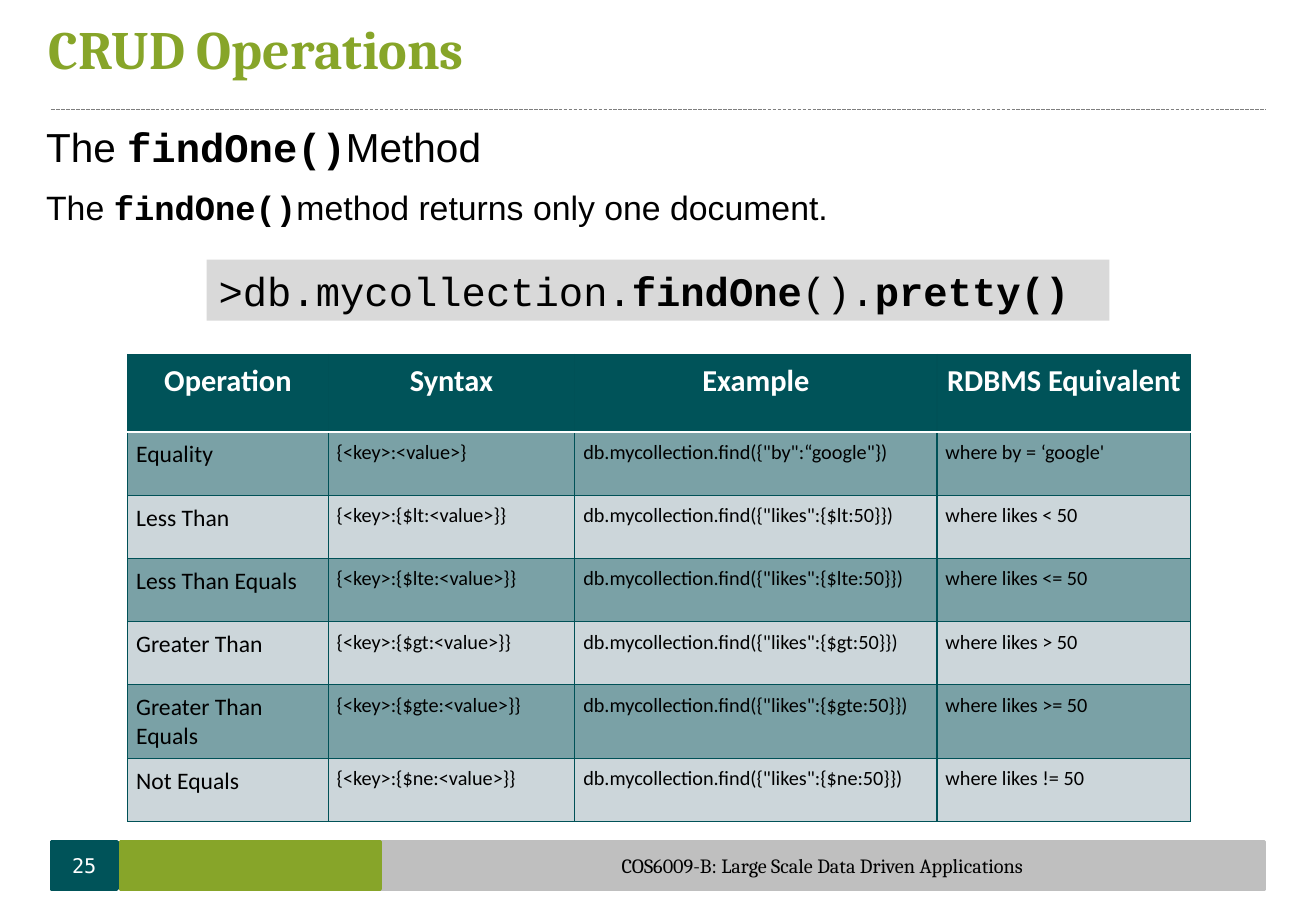
from lxml import etree
from pptx import Presentation
from pptx.dml.color import RGBColor
from pptx.enum.dml import MSO_LINE
from pptx.enum.shapes import MSO_CONNECTOR, MSO_SHAPE
from pptx.enum.text import MSO_ANCHOR, PP_ALIGN
from pptx.oxml.ns import qn
from pptx.util import Inches, Pt

RECT, LINE = MSO_SHAPE.RECTANGLE, MSO_CONNECTOR.STRAIGHT
DASH, MID, TOP = MSO_LINE.SQUARE_DOT, MSO_ANCHOR.MIDDLE, MSO_ANCHOR.TOP
LEFT, CENTER = PP_ALIGN.LEFT, PP_ALIGN.CENTER

TEAL = RGBColor(0x00, 0x53, 0x59)
EDGE = RGBColor(0x00, 0x51, 0x57)
GREEN = RGBColor(0x87, 0xA5, 0x29)
SILVER = RGBColor(0xBF, 0xBF, 0xBF)
PALE = RGBColor(0xD9, 0xD9, 0xD9)
GRAY = RGBColor(0x7F, 0x7F, 0x7F)
DARK = RGBColor(0x7A, 0xA1, 0xA6)
LIGHT = RGBColor(0xCC, 0xD6, 0xDA)
BLACK = RGBColor(0, 0, 0)
WHITE = RGBColor(255, 255, 255)
MONO, SANS, SERIF, BODY = "Courier New", "Arial", "Cambria", "Calibri"

deck = Presentation()
deck.slide_width, deck.slide_height = Inches(10.83), Inches(7.5)
slide = deck.slides.add_slide(deck.slide_layouts[5])
shapes = slide.shapes


def area(*shares):
    """Turn percentages (x, y, x, y) of the slide's size into lengths."""
    sides = (deck.slide_width, deck.slide_height) * 2
    return [int(side * share / 100) for side, share in zip(sides, shares)]


def write(par, size, color, *runs, align=LEFT):
    """Add runs given as (text, font name, bold) to a paragraph."""
    par.alignment = align
    for text, name, bold in runs:
        run = par.add_run()
        run.text = text
        look = {"name": name, "size": Pt(size), "bold": bold}
        for key, value in look.items():
            setattr(run.font, key, value)
        run.font.color.rgb = color


# Title and rule
title = shapes.title
title.left, title.top, title.width, title.height = area(3.7, -0.4, 64, 11.3)
frame = title.text_frame
flush = {"margin_left": 0, "margin_right": 0, "margin_top": 0,
         "margin_bottom": 0, "vertical_anchor": MID, "word_wrap": True}
for key, value in flush.items():
    setattr(frame, key, value)
write(frame.paragraphs[0], 32, GREEN, ("CRUD Operations", SERIF, True))

rule = shapes.add_connector(LINE, *area(3.9, 12, 96.2, 12))
rule.line.color.rgb, rule.line.width = GRAY, Pt(0.75)
rule.line.dash_style = DASH
etree.SubElement(rule._element.spPr, qn("a:effectLst"))

# Introduction
intro = shapes.add_textbox(*area(2.6, 12.7, 88.6, 13.2)).text_frame
intro.word_wrap = True
head, note = intro.paragraphs[0], intro.add_paragraph()
note.space_before = Pt(10)
for par, size, tail in ((head, 24, "Method"),
                        (note, 20, "method returns only one document.")):
    write(par, size, BLACK, ("The ", SANS, False),
          ("findOne()", MONO, True), (tail, SANS, False))

# Command box
code = shapes.add_shape(RECT, *area(15.7, 28.5, 68.6, 6.7))
code.shadow.inherit = False
code.fill.solid()
code.fill.fore_color.rgb = PALE
code.line.fill.background()
code.text_frame.vertical_anchor = TOP
write(code.text_frame.paragraphs[0], 24, BLACK,
      (">db.mycollection.", MONO, False), ("findOne", MONO, True),
      ("().", MONO, False), ("pretty()", MONO, True))

# Operator table
HEADS = ("Operation", "Syntax", "Example", "RDBMS Equivalent")
rows = [HEADS, ("Equality", "{<key>:<value>}",
                'db.mycollection.find({"by":“google"})',
                "where by = ‘google'")]
for name, word, sign in (("Less Than", "lt", "<"),
                         ("Less Than Equals", "lte", "<="),
                         ("Greater Than", "gt", ">"),
                         ("Greater Than Equals", "gte", ">="),
                         ("Not Equals", "ne", "!=")):
    rows.append((name, f"{{<key>:{{${word}:<value>}}}}",
                 f'db.mycollection.find({{"likes":{{${word}:50}}}})',
                 f"where likes {sign} 50"))

grid = shapes.add_table(len(rows), len(HEADS),
                        *area(9.7, 38.9, 80.7, 50.1)).table
for col, share in zip(grid.columns, (15.24, 18.74, 27.52, 19.3)):
    col.width = area(share)[0]
for r, row in enumerate(rows):
    grid.rows[r].height = area(0, 6.93 if r else 8.53)[1]
    for c, text in enumerate(row):
        cell = grid.cell(r, c)
        props = cell._tc.get_or_add_tcPr()
        for side in "LRTB":
            split = (r, side) in ((0, "B"), (1, "T"))
            edge = etree.SubElement(props, qn(f"a:ln{side}"),
                                    w=str(Pt(2 if split else 0.75)))
            fill = etree.SubElement(edge, qn("a:solidFill"))
            etree.SubElement(fill, qn("a:srgbClr"),
                             val=str(WHITE if split else EDGE))
        cell.fill.solid()
        cell.fill.fore_color.rgb = (DARK if r % 2 else LIGHT) if r else TEAL
        for side in ("left", "right", "top", "bottom"):
            setattr(cell, f"margin_{side}", Inches(0.07))
        size = 18 if r == 0 else 12 if c else 14
        write(cell.text_frame.paragraphs[0], size, BLACK if r else WHITE,
              (text, BODY, r == 0), align=LEFT if r else CENTER)

# Footer bars
for x, w, color, text, name, ink in (
        (3.9, 5, TEAL, "25", "DejaVu Sans Mono", WHITE),
        (28.9, 67.2, SILVER, "COS6009-B: Large Scale Data Driven Applications",
         SERIF, BLACK),
        (9.15, 19.75, GREEN, "", SERIF, BLACK)):
    bar = shapes.add_shape(RECT, *area(x, 92.4, w, 5.2))
    bar.shadow.inherit = False
    bar.fill.solid()
    bar.fill.fore_color.rgb = bar.line.color.rgb = color
    bar.line.width = Pt(2)
    for key, value in flush.items():
        setattr(bar.text_frame, key, value)
    if text:
        write(bar.text_frame.paragraphs[0], 12, ink, (text, name, False),
              align=CENTER)

deck.save("out.pptx")
